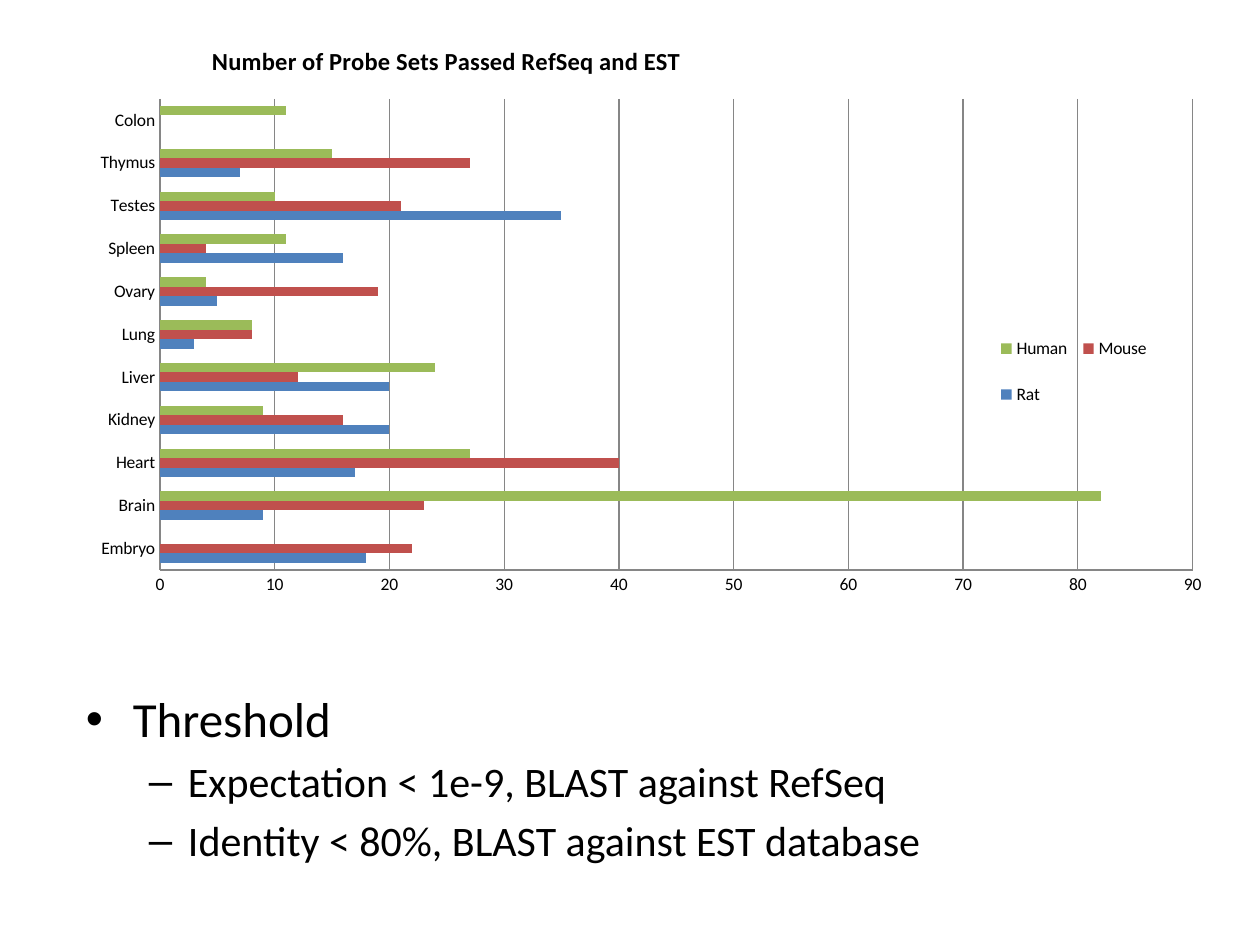
from lxml import etree
from pptx import Presentation
from pptx.chart.data import CategoryChartData
from pptx.dml.color import RGBColor
from pptx.enum.chart import XL_CHART_TYPE as ChartType, XL_LEGEND_POSITION as LegendPos
from pptx.enum.chart import XL_TICK_MARK as TickMark
from pptx.oxml.ns import qn
from pptx.util import Cm, Pt

THEME = {
    "font": "Calibri",
    "text": RGBColor.from_string("000000"),
    "grid": RGBColor.from_string("868686"),
    "title": Pt(14),
    "label": Pt(10),
    "levels": [Pt(28), Pt(24)],
    "series": {"Rat": "4F81BD", "Mouse": "C0504D", "Human": "9BBB59"},
}


def set_layout(parent, index, **parts):
    """Place a chart part by fractions of the chart area."""
    for old in parent.findall(qn("c:layout")):
        parent.remove(old)
    layout = etree.Element(qn("c:layout"))
    manual = etree.SubElement(layout, qn("c:manualLayout"))
    for name, value in parts.items():
        etree.SubElement(manual, qn(f"c:{name}")).set("val", str(value))
    parent.insert(index, layout)


def set_bullet(p, char, margin, indent):
    """Give a paragraph a hanging bullet and 20% space before."""
    pPr = p._p.get_or_add_pPr()
    pPr.set("marL", str(margin))
    pPr.set("indent", str(-indent))
    before = etree.SubElement(pPr, qn("a:spcBef"))
    etree.SubElement(before, qn("a:spcPct")).set("val", "20000")
    etree.SubElement(pPr, qn("a:buFont")).set("typeface", "Arial")
    etree.SubElement(pPr, qn("a:buChar")).set("char", char)


prs = Presentation()
prs.slide_width, prs.slide_height = Cm(25.4), Cm(19.05)
s = prs.slides.add_slide(prs.slide_layouts[6])

# Threshold notes
bullets = [("•", Cm(0.95), Cm(0.95)), ("–", Cm(2.06), Cm(0.79))]
notes = [
    (0, "Threshold"),
    (1, "Expectation < 1e-9, BLAST against RefSeq"),
    (1, "Identity < 80%, BLAST against EST database"),
]
tf = s.shapes.add_textbox(Cm(1.48), Cm(13.76), Cm(23.06), Cm(4.32)).text_frame
tf.word_wrap = True
for i, (level, text) in enumerate(notes):
    p = tf.paragraphs[0] if i == 0 else tf.add_paragraph()
    p.text = text
    p.level = level
    set_bullet(p, *bullets[level])
    font = p.runs[0].font
    font.name, font.size = THEME["font"], THEME["levels"][level]
    font.color.rgb = THEME["text"]

# Probe set chart
probe_sets = {
    "Rat": [18, 9, 17, 20, 20, 3, 5, 16, 35, 7, None],
    "Mouse": [22, 23, 40, 16, 12, 8, 19, 4, 21, 27, None],
    "Human": [None, 82, 27, 9, 24, 8, 4, 11, 10, 15, 11],
}
data = CategoryChartData()
data.categories = ["Embryo", "Brain", "Heart", "Kidney", "Liver", "Lung",
                   "Ovary", "Spleen", "Testes", "Thymus", "Colon"]
for name, values in probe_sets.items():
    data.add_series(name, values)
chart = s.shapes.add_chart(ChartType.BAR_CLUSTERED, Cm(1.07), Cm(0.43),
                           Cm(23.93), Cm(12.5), data).chart
chart.font.name, chart.font.size = THEME["font"], THEME["label"]
chart.font.color.rgb = THEME["text"]

plot = chart.plots[0]
plot.gap_width, plot.overlap, plot.vary_by_categories = 150, 0, False
for series in plot.series:
    series.format.fill.solid()
    series.format.fill.fore_color.rgb = RGBColor.from_string(THEME["series"][series.name])
    series.invert_if_negative = False

value_axis = chart.value_axis
value_axis.minimum_scale, value_axis.maximum_scale, value_axis.major_unit = 0, 90, 10
value_axis.has_major_gridlines = True
chart.category_axis.has_major_gridlines = False
for axis in (value_axis, chart.category_axis):
    axis.major_tick_mark = axis.minor_tick_mark = TickMark.NONE
for part in (value_axis, chart.category_axis, value_axis.major_gridlines):
    part.format.line.color.rgb = THEME["grid"]
    part.format.line.width = Pt(0.75)

chart.has_title = True
title = chart.chart_title
title.text_frame.text = "Number of Probe Sets Passed RefSeq and EST"
font = title.text_frame.paragraphs[0].runs[0].font
font.name, font.size, font.bold = THEME["font"], THEME["title"], True
font.color.rgb = THEME["text"]

chart.has_legend = True
chart.legend.position = LegendPos.RIGHT
chart.legend.include_in_layout = True

plot_area = chart._chartSpace.chart.plotArea
set_layout(plot_area, 0, layoutTarget="inner", xMode="edge", yMode="edge",
           x=0.09, y=0.125, w=0.87, h=0.76)
set_layout(title._element, 1, xMode="edge", yMode="edge", x=0.13, y=0.03)
set_layout(chart.legend._element, 1, xMode="edge", yMode="edge",
           x=0.79, y=0.47, w=0.14, h=0.19)

prs.save("out.pptx")
